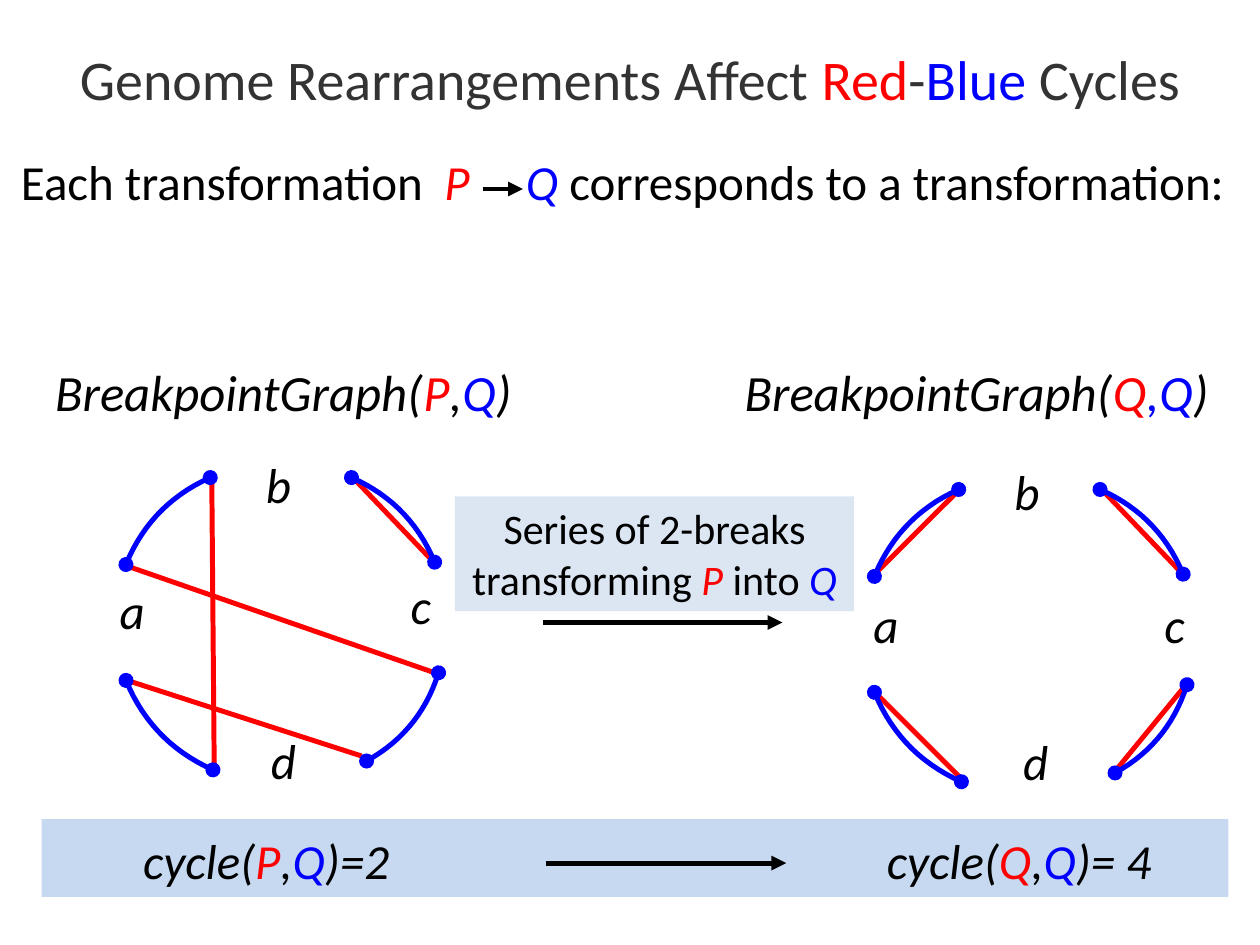
from dataclasses import dataclass

import lxml.etree
import pptx
import pptx.dml.color
import pptx.enum.shapes
import pptx.enum.text
import pptx.oxml.ns
import pptx.util

Pt = pptx.util.Pt
ALIGN = pptx.enum.text.PP_ALIGN
ANCHOR = pptx.enum.text.MSO_ANCHOR


@dataclass(frozen=True)
class Theme:
    font: str = "Calibri"
    black: str = "000000"
    gray: str = "333333"
    red: str = "FF0000"
    blue: str = "0000FF"
    pale_blue: str = "DCE6F2"
    bar_blue: str = "C6D9F1"
    title_size: float = 32
    heading_size: float = 29
    text_size: float = 28
    note_size: float = 24
    line_width: float = 2.83
    arc_width: float = 2.89


def rgb(color):
    return pptx.dml.color.RGBColor.from_string(color)


def add_xml(parent, tag, **attributes):
    name = pptx.oxml.ns.qn(tag)
    return lxml.etree.SubElement(parent, name, attributes)


class SlideBuilder:
    def __init__(self, slide, theme):
        self.slide = slide
        self.theme = theme

    def fill_paragraph(self, para, size, parts, align=ALIGN.LEFT, spacing=None, before=0, tabs=()):
        """Fill a paragraph with (text, color, italic) parts."""
        para.alignment = align
        para.line_spacing = spacing
        para.space_before = Pt(before)
        if tabs:
            tab_list = add_xml(para._p.get_or_add_pPr(), "a:tabLst")
            for position in tabs:
                add_xml(tab_list, "a:tab", pos=str(Pt(position)), algn="l")
        for text, color, italic in parts:
            span = para.add_run()
            span.text = text
            span.font.name = self.theme.font
            span.font.size = Pt(size)
            span.font.italic = italic
            span.font.color.rgb = rgb(color)

    def set_frame(self, frame, anchor=ANCHOR.TOP, margins=(0, 0, 0, 0)):
        frame.word_wrap = True
        frame.vertical_anchor = anchor
        frame.margin_left, frame.margin_top, frame.margin_right, frame.margin_bottom = map(Pt, margins)
        return frame

    def title(self, left, top, width, height, parts):
        box = self.slide.shapes.title
        box.left, box.top, box.width, box.height = map(Pt, (left, top, width, height))
        frame = self.set_frame(box.text_frame, ANCHOR.MIDDLE)
        self.fill_paragraph(frame.paragraphs[0], self.theme.title_size, parts, ALIGN.CENTER, 1.02)

    def text_box(self, left, top, width, height):
        box = self.slide.shapes.add_textbox(*map(Pt, (left, top, width, height)))
        return self.set_frame(box.text_frame)

    def panel(self, left, top, width, height, color, margins):
        box = self.slide.shapes.add_shape(
            pptx.enum.shapes.MSO_SHAPE.RECTANGLE, *map(Pt, (left, top, width, height)))
        box.shadow.inherit = False
        box.fill.solid()
        box.fill.fore_color.rgb = rgb(color)
        box.line.fill.background()
        return self.set_frame(box.text_frame, margins=margins)

    def line(self, start, end, color, arrow=False):
        connector = self.slide.shapes.add_connector(
            pptx.enum.shapes.MSO_CONNECTOR.STRAIGHT, *map(Pt, (*start, *end)))
        connector.line.color.rgb = rgb(color)
        connector.line.width = Pt(self.theme.line_width)
        if arrow:
            add_xml(connector.line._get_or_add_ln(), "a:tailEnd", type="triangle")
        add_xml(connector._element.spPr, "a:effectLst")

    def arc(self, start, end, bulge=0.1, steps=15):
        """Draw a shallow arc bulging to the outside of the graph, with a node at each end."""
        (x1, y1), (x2, y2) = start, end
        dx, dy = x2 - x1, y2 - y1
        points = []
        for step in range(steps + 1):
            t = step / steps
            rise = 4 * bulge * t * (1 - t)
            points.append((Pt(x1 + dx * t - dy * rise), Pt(y1 + dy * t + dx * rise)))
        builder = self.slide.shapes.build_freeform(*points[0])
        builder.add_line_segments(points[1:], close=False)
        curve = builder.convert_to_shape()
        curve.shadow.inherit = False
        curve.fill.background()
        curve.line.color.rgb = rgb(self.theme.blue)
        curve.line.width = Pt(self.theme.arc_width)
        for tag in ("a:headEnd", "a:tailEnd"):
            add_xml(curve.line._get_or_add_ln(), tag, type="oval")

    def graph(self, shift, red_edges, labels):
        arcs = [((248.4, 321.3), (200.9, 272.9)), ((120.2, 272.9), (72, 322.6)),
                ((209.5, 434.9), (250.6, 384.5)), ((72, 388.8), (121.7, 439.9))]
        for start, end in red_edges:
            self.line(start, end, self.theme.red)
        for ends in arcs:
            self.arc(*[(x + shift[0], y + shift[1]) for x, y in ends])
        for name, (left, top) in labels.items():
            frame = self.text_box(left, top, 24, 36)
            self.fill_paragraph(frame.paragraphs[0], self.theme.text_size,
                                [(name, self.theme.black, True)], spacing=0.63)


def main():
    theme = Theme()
    deck = pptx.Presentation()
    deck.slide_width, deck.slide_height = Pt(720), Pt(540)
    page = SlideBuilder(deck.slides.add_slide(deck.slide_layouts[5]), theme)

    def pair(function, first, comma_color, tail):
        return [(function + "(", theme.black, True), (first, theme.red, True),
                (",", comma_color, True), ("Q", theme.blue, True), (tail, theme.black, True)]

    # Title
    page.title(12, -0.7, 696, 90, [
        ("Genome Rearrangements Affect ", theme.gray, False), ("Red", theme.red, False),
        ("-", theme.gray, False), ("Blue ", theme.blue, False), ("Cycles", theme.gray, False)])

    # Statement and the two graph headings
    frame = page.text_box(12, 96, 708, 126)
    page.fill_paragraph(frame.paragraphs[0], theme.text_size, [
        ("Each transformation\t", theme.black, False), ("P\t", theme.red, True),
        ("Q ", theme.blue, True), ("corresponds to a transformation:", theme.black, False)],
        spacing=0.69, tabs=(242, 288.5))
    page.fill_paragraph(frame.add_paragraph(), theme.heading_size,
                        pair("\tBreakpointGraph", "P", theme.black, ")\t")
                        + pair("BreakpointGraph", "Q", theme.blue, ")"),
                        spacing=0.69, before=97, tabs=(19.5, 413.5))

    # Breakpoint graphs before and after
    page.graph((0, 0), [
        ((122.4, 437.8), (121, 270)), ((72.7, 388.8), (206.6, 432)),
        ((74.2, 324), (250.6, 385.2)), ((200.2, 271.4), (248.4, 321.8))],
        {"a": (68.4, 342.7), "b": (151.9, 270.7), "c": (234.7, 339.8), "d": (154.8, 428.4)})
    page.graph((427.7, 6.8), [
        ((627.8, 277.9), (676.1, 328.3)), ((501.8, 326.2), (547.2, 280.8)),
        ((499.7, 395.3), (548.6, 444.2)), ((676.8, 392.4), (637.9, 439.9))],
        {"a": (499, 350.6), "b": (579.6, 275), "c": (665.3, 350.6), "d": (584.6, 429.1)})

    # Note above the middle arrow
    frame = page.panel(260, 283.7, 228.2, 65.5, theme.pale_blue, (7.2, 3.6, 7.2, 3.6))
    page.fill_paragraph(frame.paragraphs[0], theme.note_size, [
        ("Series of 2-breaks transforming ", theme.black, False), ("P", theme.red, True),
        (" into ", theme.black, False), ("Q", theme.blue, True)], ALIGN.CENTER)

    # Cycle counts
    frame = page.panel(23.8, 468, 678.2, 44.6, theme.bar_blue, (58, 17.4, 7.2, 3.6))
    page.fill_paragraph(frame.paragraphs[0], theme.text_size,
                        pair("cycle", "P", theme.black, ")=2\t")
                        + pair("cycle", "Q", theme.black, ")= 4"),
                        spacing=0.63, tabs=(425,))

    # Transformation arrows
    for left, right, y in ((275.8, 298.8, 108), (310.3, 447.1, 355.7), (311.8, 449.3, 493.2)):
        page.line((left, y), (right, y), theme.black, arrow=True)

    deck.save("out.pptx")


if __name__ == "__main__":
    main()
